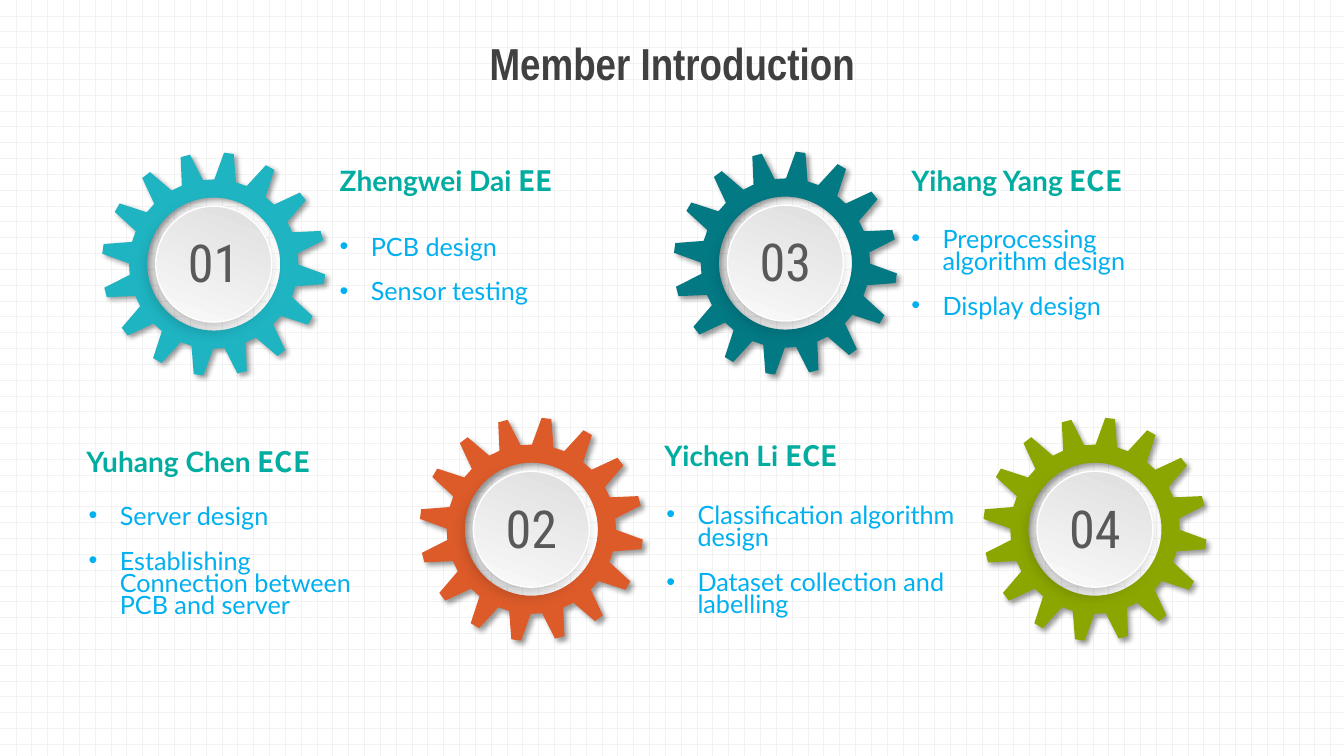
"""Builds the member introduction slide with four numbered gears."""
from math import cos, radians, sin

from lxml import etree
from pptx import Presentation
from pptx.dml.color import RGBColor
from pptx.enum.dml import MSO_PATTERN as Pattern
from pptx.enum.shapes import MSO_SHAPE as Preset
from pptx.enum.text import MSO_ANCHOR as Anchor, MSO_AUTO_SIZE as AutoSize, PP_ALIGN as Align
from pptx.oxml.ns import qn
from pptx.util import Inches, Pt

MEMBERS = [
    ("01", "1FB4C2", (2.12, 2.62), "Zhengwei Dai ", "EE", (3.27, 1.68), (3.27, 2.32, 2.94, 0.78),
     Align.JUSTIFY, ["PCB design", "Sensor testing"]),
    ("03", "037984", (7.79, 2.61), "Yihang Yang ", "ECE", (8.94, 1.68), (8.94, 2.24, 3.03, 1.01),
     Align.JUSTIFY, ["Preprocessing algorithm design", "Display design"]),
    ("02", "DD5B29", (5.27, 5.25), "Yuhang Chen ", "ECE", (0.76, 4.47), (0.78, 4.99, 3.08, 1.23),
     Align.LEFT, ["Server design", "Establishing Connection between PCB and server"]),
    ("04", "8CA601", (10.86, 5.25), "Yichen Li ", "ECE", (6.49, 4.41), (6.51, 4.98, 3.08, 1.23),
     Align.LEFT, ["Classification algorithm design", "Dataset collection and labelling"]),
]


def rgb(value):
    """Turn a hex string into a colour."""
    return RGBColor.from_string(value)


def add_span(para, text, font="Lato", size=18, color="00B0F0", bold=False):
    """Add formatted text to a paragraph."""
    span = para.add_run()
    span.text = text
    span.font.name, span.font.size, span.font.bold = font, Pt(size), bold
    span.font.color.rgb = rgb(color)
    return span


def add_shadow(effects, alpha, blur, distance, angle):
    """Put an outer shadow in an effect list."""
    shadow = etree.SubElement(effects, qn("a:outerShdw"), blurRad=str(Pt(blur)), dist=str(Pt(distance)),
                              dir=str(angle * 60000), algn="ctr", rotWithShape="0")
    black = etree.SubElement(shadow, qn("a:srgbClr"), val="000000")
    etree.SubElement(black, qn("a:alpha"), val=str(alpha * 1000))


def ring(center, polar_points):
    """Turn angles clockwise from the top, with radii, into slide points."""
    x, y = center
    return [(Inches(x + radius * sin(radians(angle))), Inches(y - radius * cos(radians(angle))))
            for angle, radius in polar_points]


class MemberSlide:
    """Holds the style and the current slide."""

    teeth = 16
    first_tooth = 7.8
    tooth_outline = [(-7.4, 0.84), (-2.5, 1.11), (2.5, 1.11), (7.4, 0.84)]
    hole_radius = 0.66
    disc_size = 1.15
    line_height = Pt(16)
    indent = Inches(0.31)

    def __init__(self, deck):
        """Add a blank page with a pale grid."""
        self.page = deck.slides.add_slide(deck.slide_layouts[6])
        fill = self.page.background.fill
        fill.patterned()
        fill.pattern = Pattern.DOTTED_GRID
        fill.fore_color.rgb, fill.back_color.rgb = rgb("F2F2F2"), rgb("FFFFFF")

    def box(self, left, top, width, height, grow=True):
        """Add a wrapping text box."""
        frame = self.page.shapes.add_textbox(*map(Inches, (left, top, width, height))).text_frame
        frame.word_wrap = True
        frame.auto_size = AutoSize.SHAPE_TO_FIT_TEXT if grow else AutoSize.NONE
        return frame

    def title(self, text):
        """Add the slide title."""
        frame = self.box(3.41, 0.36, 6.52, 0.58, grow=False)
        frame.vertical_anchor = Anchor.MIDDLE
        para = frame.paragraphs[0]
        para.alignment, para.line_spacing = Align.CENTER, 0.9
        add_span(para, text, font="Arial Narrow", size=32, color="404040", bold=True)

    def gear(self, center, color):
        """Add a toothed wheel with a round hole."""
        step = 360 / self.teeth
        outline = ring(center, [(self.first_tooth + tooth * step + offset, radius)
                                for tooth in range(self.teeth) for offset, radius in self.tooth_outline])
        hole = ring(center, [(-angle, self.hole_radius) for angle in range(0, 360, 5)])
        builder = self.page.shapes.build_freeform(*outline[0])
        builder.add_line_segments(outline[1:], close=True)
        builder.move_to(*hole[0])
        builder.add_line_segments(hole[1:], close=True)
        wheel = builder.convert_to_shape()
        wheel.fill.solid()
        wheel.fill.fore_color.rgb = rgb(color)
        wheel.line.fill.background()
        wheel.shadow.inherit = False
        add_shadow(wheel._element.spPr.find(qn("a:effectLst")), 40, 4, 3, 45)

    def disc(self, center):
        """Add the shaded disc in the middle of a gear."""
        size = self.disc_size
        left, top = (Inches(middle - size / 2) for middle in center)
        disc = self.page.shapes.add_shape(Preset.OVAL, left, top, Inches(size), Inches(size))
        disc.rotation = 336.2
        disc.fill.gradient()
        disc.fill.gradient_angle = 45
        for stop, position, color in zip(disc.fill.gradient_stops, (0, 1), ("FFFFFF", "D9D9D9")):
            stop.position, stop.color.rgb = position, rgb(color)
        disc.line.color.rgb, disc.line.width = rgb("FFFFFF"), Pt(1)
        disc.shadow.inherit = False
        add_shadow(disc._element.spPr.find(qn("a:effectLst")), 26, 12, 5, 135)

    def number(self, center, text):
        """Add the shadowed number on a disc."""
        x, y = center
        para = self.box(x - 0.45, y - 0.38, 0.9, 0.73).paragraphs[0]
        para.alignment = Align.CENTER
        span = add_span(para, text, font="Roboto Condensed", size=37.3, color="595959")
        effects = etree.Element(qn("a:effectLst"))
        span.font._element.find(qn("a:solidFill")).addnext(effects)
        add_shadow(effects, 40, 3, 2, 45)

    def name(self, place, person, department):
        """Add a member's name and department."""
        para = self.box(*place, 2.94, 0.34).paragraphs[0]
        para.alignment, para.line_spacing = Align.JUSTIFY, self.line_height
        for text, font in ((person, "Lato"), (department, "Noto Sans CJK SC")):
            add_span(para, text, font=font, size=20, color="00ADA0", bold=True)

    def tasks(self, area, items, align):
        """Add a bulleted list of tasks."""
        frame = self.box(*area)
        for index, item in enumerate(items):
            para = frame.add_paragraph() if index else frame.paragraphs[0]
            para.alignment, para.line_spacing = align, self.line_height
            if index:
                para.space_before = self.line_height
            properties = para._p.get_or_add_pPr()
            properties.set("marL", str(self.indent))
            properties.set("indent", str(-self.indent))
            etree.SubElement(properties, qn("a:buFont"), typeface="Arial")
            etree.SubElement(properties, qn("a:buChar"), char="•")
            add_span(para, item)


def main():
    """Build and save the deck."""
    deck = Presentation()
    deck.slide_width, deck.slide_height = Inches(13.33), Inches(7.5)
    slide = MemberSlide(deck)
    slide.title("Member Introduction")
    for number, color, center, person, department, place, area, align, items in MEMBERS:
        slide.gear(center, color)
        slide.disc(center)
        slide.number(center, number)
        slide.name(place, person, department)
        slide.tasks(area, items, align)
    deck.save("out.pptx")


if __name__ == "__main__":
    main()
